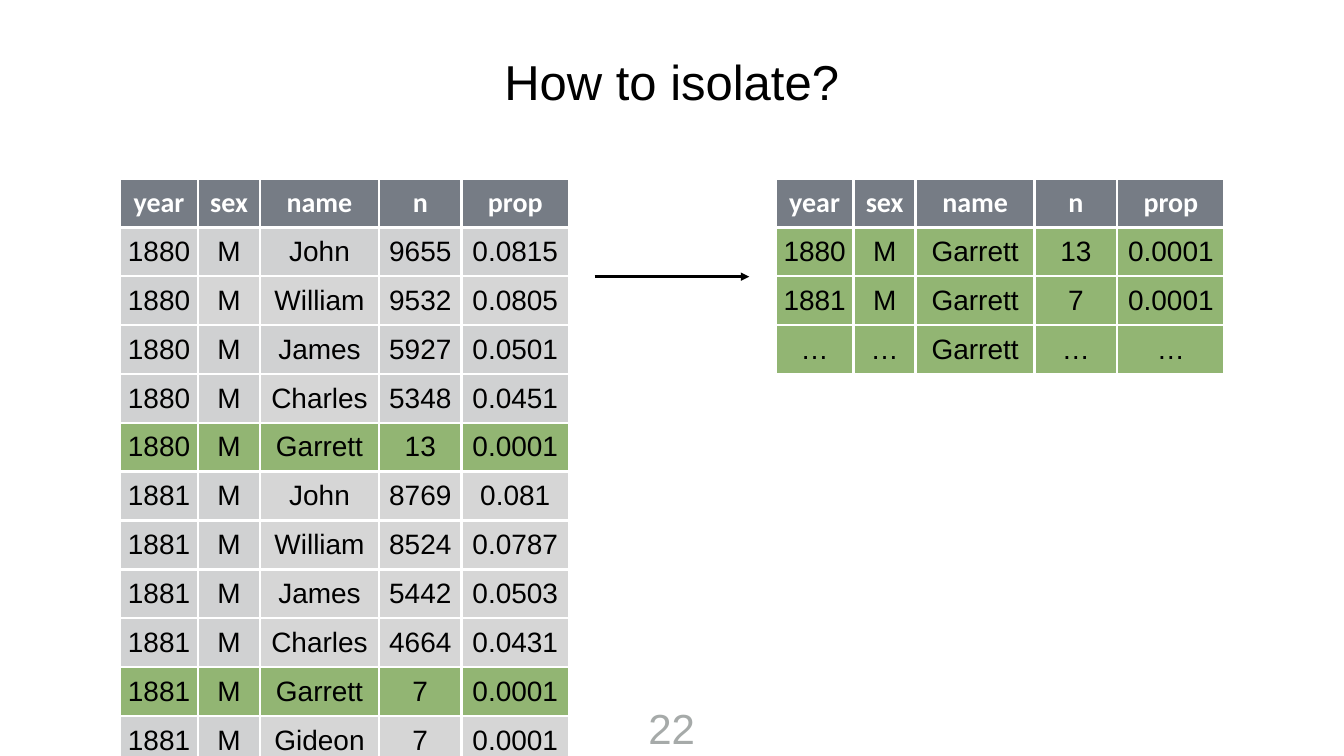
from lxml.etree import SubElement
from pptx import Presentation
from pptx.dml.color import RGBColor
from pptx.enum.shapes import MSO_CONNECTOR
from pptx.enum.text import MSO_ANCHOR, MSO_AUTO_SIZE, PP_ALIGN
from pptx.oxml.ns import qn
from pptx.util import Emu, Pt

PX_PER_INCH = 100
HEADER = ("year", "sex", "name", "n", "prop")
COLUMN_WIDTHS = (155, 123, 236, 164, 213)
ROW_HEIGHT = 97
TABLE_TOP = 354
CELL_INSET = 6

HEADER_FILL = "767C85"
MATCH_FILL = "92B573"
GREY, LIGHT_GREY = "D0D1D2", "D6D6D6"
BLACK, WHITE = "000000", "FFFFFF"

BABY_NAMES = (
    ("1880", "M", "John", "9655", "0.0815"),
    ("1880", "M", "William", "9532", "0.0805"),
    ("1880", "M", "James", "5927", "0.0501"),
    ("1880", "M", "Charles", "5348", "0.0451"),
    ("1880", "M", "Garrett", "13", "0.0001"),
    ("1881", "M", "John", "8769", "0.081"),
    ("1881", "M", "William", "8524", "0.0787"),
    ("1881", "M", "James", "5442", "0.0503"),
    ("1881", "M", "Charles", "4664", "0.0431"),
    ("1881", "M", "Garrett", "7", "0.0001"),
    ("1881", "M", "Gideon", "7", "0.0001"),
)
GARRETT_ROWS = [row for row in BABY_NAMES if row[2] == "Garrett"]
GARRETT_ROWS.append(("…", "…", "Garrett", "…", "…"))

# Columns in the lighter grey: the last three, except in the first rows
LIGHT_COLUMNS = (2, 3, 4)
LIGHT_EXCEPTIONS = {1: (), 2: (1, 2, 3, 4), 3: (), 4: (2,)}


def px(n):
    return Emu(n * 914400 // PX_PER_INCH)


def rgb(value):
    return RGBColor.from_string(value)


def format_text(tf, size, color, font="Arial", bold=False):
    for p in tf.paragraphs:
        p.alignment = PP_ALIGN.CENTER
        for r in p.runs:
            r.font.size = Pt(size)
            r.font.name = font
            r.font.bold = bold
            r.font.color.rgb = rgb(color)


def set_insets(obj, inset):
    obj.margin_left = obj.margin_right = px(inset)
    obj.margin_top = obj.margin_bottom = px(inset)


def add_borders(cell, color, width):
    tcPr = cell._tc.get_or_add_tcPr()
    for side in ("lnL", "lnR", "lnT", "lnB"):
        ln = SubElement(tcPr, qn(f"a:{side}"), w=str(Pt(width)))
        fill = SubElement(ln, qn("a:solidFill"))
        SubElement(fill, qn("a:srgbClr"), val=color)


def cell_fill(row, col, values):
    if row == 0:
        return HEADER_FILL
    if values[2] == "Garrett":
        return MATCH_FILL
    light = LIGHT_EXCEPTIONS.get(row, LIGHT_COLUMNS)
    return LIGHT_GREY if col in light else GREY


def add_names_table(s, left, records):
    rows = [HEADER, *records]
    frame = s.shapes.add_table(len(rows), len(HEADER), px(left), px(TABLE_TOP),
                               px(sum(COLUMN_WIDTHS)), px(ROW_HEIGHT * len(rows)))
    table = frame.table
    table.horz_banding = False
    for column, width in zip(table.columns, COLUMN_WIDTHS):
        column.width = px(width)
    for i, values in enumerate(rows):
        table.rows[i].height = px(ROW_HEIGHT)
        for j, value in enumerate(values):
            cell = table.cell(i, j)
            cell.text_frame.text = value
            cell.vertical_anchor = MSO_ANCHOR.MIDDLE
            set_insets(cell, CELL_INSET)
            add_borders(cell, WHITE, 4)
            cell.fill.solid()
            cell.fill.fore_color.rgb = rgb(cell_fill(i, j, values))
            if i == 0:
                format_text(cell.text_frame, 40, WHITE, "Calibri", True)
            else:
                format_text(cell.text_frame, 40, BLACK)


def set_title(s, text):
    title = s.shapes.title
    title.left, title.top, title.width, title.height = map(px, (438, 30, 1790, 262))
    tf = title.text_frame
    tf.text = text
    tf.auto_size = MSO_AUTO_SIZE.NONE
    tf.vertical_anchor = MSO_ANCHOR.MIDDLE
    set_insets(tf, 6)
    format_text(tf, 70, BLACK)


def add_arrow(s, x1, x2, y):
    arrow = s.shapes.add_connector(MSO_CONNECTOR.STRAIGHT, px(x1), px(y), px(x2), px(y))
    arrow.line.color.rgb = rgb(BLACK)
    arrow.line.width = Pt(4)
    SubElement(arrow.line._get_or_add_ln(), qn("a:tailEnd"), type="triangle")
    SubElement(arrow._element.spPr, qn("a:effectLst"))


def add_page_number(s, text):
    tf = s.shapes.add_textbox(px(1278), px(1385), px(110), px(116)).text_frame
    tf.text = text
    tf.word_wrap = False
    tf.auto_size = MSO_AUTO_SIZE.SHAPE_TO_FIT_TEXT
    set_insets(tf, 8)
    format_text(tf, 60, "A6AAA9")


def main():
    prs = Presentation()
    prs.slide_width, prs.slide_height = px(2667), px(1500)
    s = prs.slides.add_slide(prs.slide_layouts[5])
    set_title(s, "How to isolate?")
    add_names_table(s, 238, BABY_NAMES)
    add_names_table(s, 1539, GARRETT_ROWS)
    add_arrow(s, 1180, 1487, 549)
    add_page_number(s, "22")
    prs.save("out.pptx")


if __name__ == "__main__":
    main()
